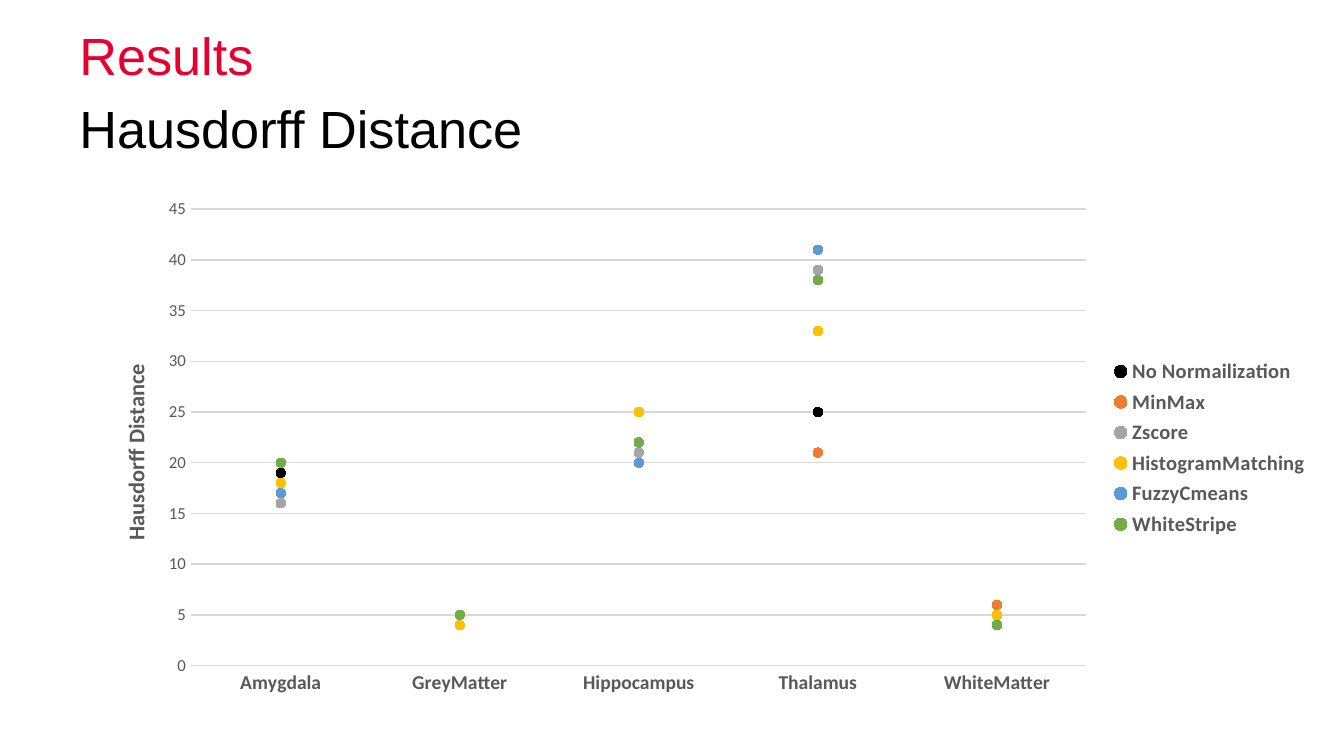
"""Build the results slide with a dot chart of Hausdorff distances."""
import pptx
import pptx.chart.data
import pptx.dml.color
import pptx.enum.chart
import pptx.oxml
import pptx.oxml.ns
import pptx.util

Cm = pptx.util.Cm
Pt = pptx.util.Pt
enum = pptx.enum.chart
HUES = {
    "title": "E6002E", "text": "000000", "label": "595959", "grid": "D9D9D9",
    "No Normailization": "000000", "MinMax": "ED7D31", "Zscore": "A5A5A5",
    "HistogramMatching": "FFC000", "FuzzyCmeans": "5B9BD5", "WhiteStripe": "70AD47",
}
CATS = ["Amygdala", "GreyMatter", "Hippocampus", "Thalamus", "WhiteMatter"]
ROWS = {
    "No Normailization": (19, 5, 22, 25, 5),
    "MinMax": (17, 5, 20, 21, 6),
    "Zscore": (16, 5, 21, 39, 4),
    "HistogramMatching": (18, 4, 25, 33, 5),
    "FuzzyCmeans": (17, 5, 20, 41, 4),
    "WhiteStripe": (20, 5, 22, 38, 4),
}


def style(font, size, hue, name="Calibri", bold=False):
    font.size, font.name, font.bold = Pt(size), name, bold
    font.color.rgb = pptx.dml.color.RGBColor.from_string(HUES[hue])


def place(node, spot, inner=False):
    for old in node.findall(pptx.oxml.ns.qn("c:layout")):
        node.remove(old)
    items = {"layoutTarget": "inner"} if inner else {}
    items.update(xMode="edge", yMode="edge", **spot)
    body = "".join(f'<c:{key} val="{val}"/>' for key, val in items.items())
    xml = (f'<c:layout {pptx.oxml.ns.nsdecls("c")}>'
           f"<c:manualLayout>{body}</c:manualLayout></c:layout>")
    node.insert(0 if inner else 1, pptx.oxml.parse_xml(xml))


deck = pptx.Presentation()
deck.slide_width, deck.slide_height = Cm(25.4), Cm(14.28)
slide = deck.slides.add_slide(deck.slide_layouts[6])

for text, top, hue in (("Results", 0.5, "title"), ("Hausdorff Distance", 1.88, "text")):
    box = slide.shapes.add_textbox(Cm(1.5), Cm(top), Cm(19.5), Cm(1.14))
    frame = box.text_frame
    frame.word_wrap = True
    frame.margin_left = frame.margin_right = frame.margin_top = frame.margin_bottom = 0
    frame.text = text
    para = frame.paragraphs[0]
    para.line_spacing = Pt(32)
    style(para.runs[0].font, 28, hue, "Arial")

data = pptx.chart.data.CategoryChartData()
data.categories = CATS
for name, vals in ROWS.items():
    data.add_series(name, vals)
chart = slide.shapes.add_chart(
    enum.XL_CHART_TYPE.LINE_MARKERS, Cm(1.5), Cm(3.56), Cm(23.5), Cm(9.8), data).chart
style(chart.font, 10, "text")
chart.has_title = False
chart.has_legend = True
chart.legend.position = enum.XL_LEGEND_POSITION.RIGHT
chart.legend.include_in_layout = False
style(chart.legend.font, 11, "label", bold=True)

plot = chart.plots[0]
plot.vary_by_categories = False
for line in plot.series:
    line.smooth = False
    line.format.line.fill.background()
    mark = line.marker
    mark.style, mark.size = enum.XL_MARKER_STYLE.CIRCLE, 5
    for fill in (mark.format.fill, mark.format.line.fill):
        fill.solid()
        fill.fore_color.rgb = pptx.dml.color.RGBColor.from_string(HUES[line.name])

cat, val = chart.category_axis, chart.value_axis
for axis in (cat, val):
    axis.major_tick_mark = axis.minor_tick_mark = enum.XL_TICK_MARK.NONE
style(cat.tick_labels.font, 10.5, "label", bold=True)
style(val.tick_labels.font, 9, "label")
val.minimum_scale, val.maximum_scale, val.major_unit = 0, 45, 5
val.has_major_gridlines = True
val.format.line.fill.background()
for rule in (cat.format.line, val.major_gridlines.format.line):
    rule.width = Pt(0.75)
    rule.color.rgb = pptx.dml.color.RGBColor.from_string(HUES["grid"])

title = val.axis_title
title.text_frame.text = "Hausdorff Distance"
style(title.text_frame.paragraphs[0].runs[0].font, 12, "label", bold=True)
turn = title.element.find(".//" + pptx.oxml.ns.qn("a:bodyPr"))
turn.set("rot", "-5400000")
turn.set("vert", "horz")
place(title.element, {"x": 0.03, "y": 0.33})
area = chart.element.find(".//" + pptx.oxml.ns.qn("c:plotArea"))
place(area, {"x": 0.09, "y": 0.04, "w": 0.72, "h": 0.88}, inner=True)

deck.save("out.pptx")
